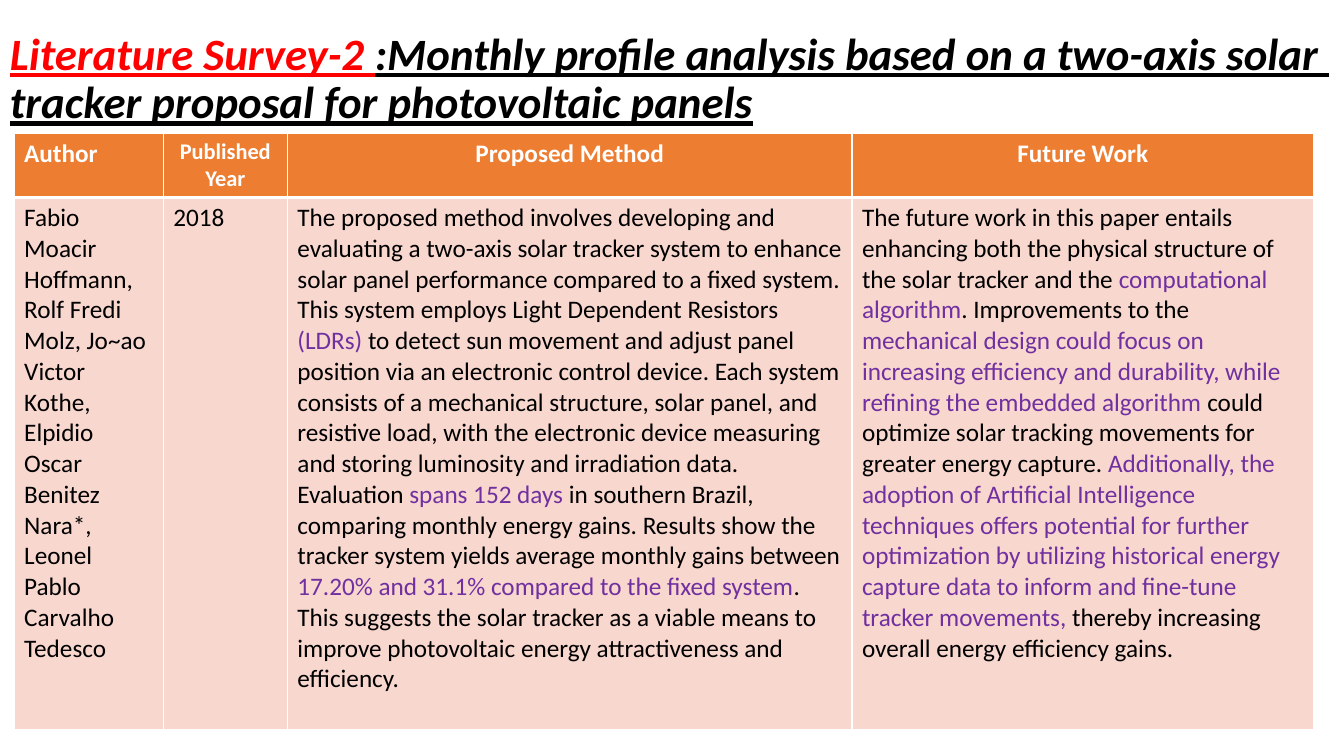
"""Build the literature survey slide: a two-line title above a four-column table."""
from lxml import etree
from pptx import Presentation
from pptx.dml.color import RGBColor
from pptx.enum.text import MSO_ANCHOR, PP_ALIGN
from pptx.oxml.ns import qn
from pptx.util import Pt

PX = 9144
LEFT, CENTER, JUSTIFY = PP_ALIGN.LEFT, PP_ALIGN.CENTER, PP_ALIGN.JUSTIFY
MIDDLE = MSO_ANCHOR.MIDDLE
COLORS = {
    "red": "FF0000",
    "black": "000000",
    "white": "FFFFFF",
    "purple": "7030A0",
    "orange": "ED7D31",
    "peach": "F8D7CE",
}


def add_run(p, text, size, color, bold=False):
    r = p.add_run()
    r.text = text
    r.font.name = "Calibri"
    r.font.size = Pt(size)
    r.font.bold = bold
    r.font.color.rgb = RGBColor.from_string(COLORS[color])
    return r


def style_cell(cell, fill, edges):
    tc_pr = cell._tc.get_or_add_tcPr()
    for tag, width in edges.items():
        ln = etree.SubElement(tc_pr, qn(f"a:{tag}"), w=str(Pt(width)))
        solid = etree.SubElement(ln, qn("a:solidFill"))
        etree.SubElement(solid, qn("a:srgbClr"), val=COLORS["white"])
    cell.fill.solid()
    cell.fill.fore_color.rgb = RGBColor.from_string(COLORS[fill])


prs = Presentation()
prs.slide_width, prs.slide_height = 1333 * PX, 750 * PX
s = prs.slides.add_slide(prs.slide_layouts[6])

title = s.shapes.add_textbox(0, 7 * PX, 1402 * PX, 145 * PX)
tf = title.text_frame
tf.word_wrap = True
tf.vertical_anchor = MIDDLE
p = tf.paragraphs[0]
p.line_spacing = 0.9
add_run(p, "Literature Survey-2 ", 32, "red", True)
add_run(p, ":Monthly profile analysis based on a two-axis solar ", 32, "black", True)
p.add_line_break()
add_run(p, "tracker proposal for photovoltaic panels", 32, "black", True)
for r in p.runs:
    r.font.italic = True
    r.font.underline = True

headers = [
    ("Author", 18, JUSTIFY),
    ("Published Year", 16, CENTER),
    ("Proposed Method", 18, CENTER),
    ("Future Work", 18, CENTER),
]

# Each paragraph alternates plain and highlighted pieces.
body = [
    (LEFT, [
        ["Fabio Moacir Hoffmann, Rolf Fredi Molz, Jo~ao Victor Kothe, "
         "Elpidio Oscar Benitez Nara*,"],
        ["Leonel Pablo Carvalho Tedesco"],
    ]),
    (JUSTIFY, [["2018"]]),
    (LEFT, [[
        "The proposed method involves developing and evaluating a two-axis solar "
        "tracker system to enhance solar panel performance compared to a fixed "
        "system. This system employs Light Dependent Resistors ",
        "(LDRs) ",
        "to detect sun movement and adjust panel position via an electronic control "
        "device. Each system consists of a mechanical structure, solar panel, and "
        "resistive load, with the electronic device measuring and storing luminosity "
        "and irradiation data. Evaluation ",
        "spans 152 days ",
        "in southern Brazil, comparing monthly energy gains. Results show the "
        "tracker system yields average monthly gains between ",
        "17.20% and 31.1% compared to the fixed system",
        ". This suggests the solar tracker as a viable means to improve photovoltaic "
        "energy attractiveness and efficiency.",
    ]]),
    (LEFT, [[
        "The future work in this paper entails enhancing both the physical structure "
        "of the solar tracker and the",
        " computational algorithm",
        ". Improvements to the ",
        "mechanical design could focus on increasing efficiency and durability, while "
        "refining the embedded algorithm ",
        "could optimize solar tracking movements for greater energy capture. ",
        "Additionally, the adoption of Artificial Intelligence techniques offers "
        "potential for further optimization by utilizing historical energy capture "
        "data to inform and fine-tune tracker movements,",
        " thereby increasing overall energy efficiency gains.",
    ]]),
]

widths, heights = [148, 123, 560, 458], [64, 528]
table = s.shapes.add_table(
    2, 4, 14 * PX, 132 * PX, sum(widths) * PX, sum(heights) * PX
).table
for row, height in zip(table.rows, heights):
    row.height = height * PX

for i, width in enumerate(widths):
    table.columns[i].width = width * PX

    head = table.cell(0, i)
    style_cell(head, "orange", {"lnL": 1, "lnR": 1, "lnT": 1, "lnB": 3})
    text, size, align = headers[i]
    p = head.text_frame.paragraphs[0]
    p.alignment = align
    add_run(p, text, size, "white", True)

    cell = table.cell(1, i)
    style_cell(cell, "peach", {"lnL": 1, "lnR": 1, "lnT": 3, "lnB": 1})
    align, paragraphs = body[i]
    tf = cell.text_frame
    for n, pieces in enumerate(paragraphs):
        p = tf.add_paragraph() if n else tf.paragraphs[0]
        p.alignment = align
        for k, piece in enumerate(pieces):
            add_run(p, piece, 18, "purple" if k % 2 else "black")

prs.save("out.pptx")
